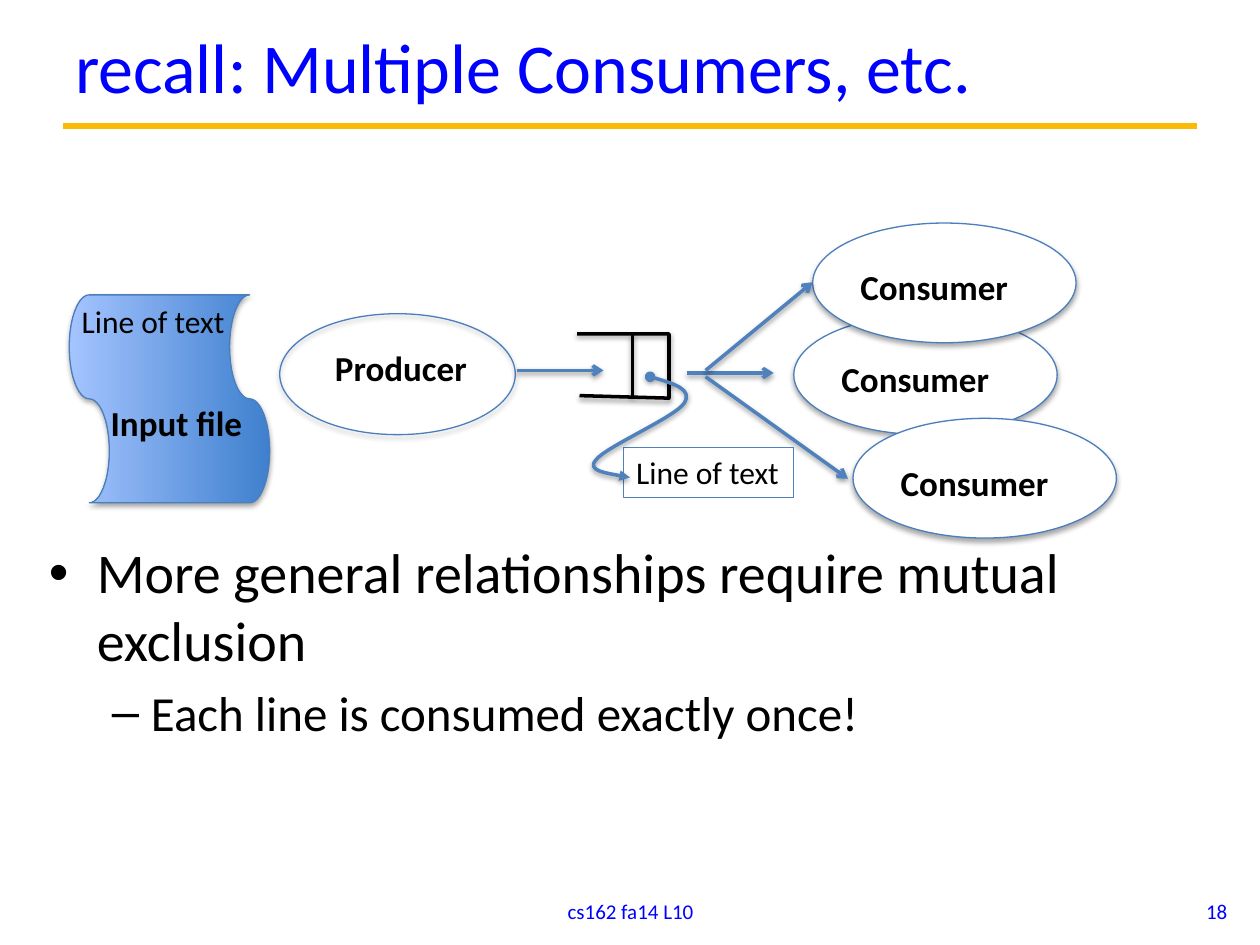
from lxml.etree import SubElement
from pptx import Presentation
from pptx.dml.color import RGBColor
from pptx.enum.shapes import MSO_CONNECTOR, MSO_SHAPE
from pptx.enum.text import MSO_ANCHOR, MSO_AUTO_SIZE, PP_ALIGN
from pptx.oxml.ns import qn
from pptx.util import Inches, Pt

COLORS = {
    "heading": "0000FF", "rule": "FBBA03", "text": "000000", "white": "FFFFFF",
    "outline": "4B7EBC", "arrow": "4F81BD", "tape_dark": "3F80CE", "tape_light": "A4C4FF",
}
COLUMNS, ROWS = 100, 75


class SlideSketch:
    font = "Calibri"

    def __init__(self, deck):
        self.slide = deck.slides.add_slide(deck.slide_layouts[6])
        self.column = deck.slide_width / COLUMNS
        self.row = deck.slide_height / ROWS

    def grid(self, *lengths):
        units = (self.column, self.row)
        return [round(length * units[i % 2]) for i, length in enumerate(lengths)]

    def color(self, name):
        return RGBColor.from_string(COLORS[name])

    def stroke(self, line, color, width, head=None, tail=None):
        line.color.rgb = self.color(color)
        line.width = Pt(width)
        for tag, kind in (("a:headEnd", head), ("a:tailEnd", tail)):
            if kind:
                SubElement(line._get_or_add_ln(), qn(tag), type=kind)

    def shade(self, effects, opacity, distance):
        shadow = SubElement(effects, qn("a:outerShdw"), blurRad=str(Pt(3.1)),
                            dist=str(Pt(distance)), dir="5400000", rotWithShape="0")
        tone = SubElement(shadow, qn("a:srgbClr"), val=COLORS["text"])
        SubElement(tone, qn("a:alpha"), val=str(opacity * 1000))

    def shade_shape(self, shape, opacity=35, distance=1.8):
        shape.shadow.inherit = False
        self.shade(shape._element.spPr.find(qn("a:effectLst")), opacity, distance)

    def format_runs(self, paragraph, size, color, bold=False):
        for run in paragraph.runs:
            run.font.name = self.font
            run.font.size = Pt(size)
            run.font.bold = bold
            run.font.color.rgb = self.color(color)

    def text(self, words, box, size, color="text", align=PP_ALIGN.LEFT):
        holder = self.slide.shapes.add_textbox(*self.grid(*box))
        frame = holder.text_frame
        frame.word_wrap = True
        frame.vertical_anchor = MSO_ANCHOR.MIDDLE
        frame.text = words
        frame.paragraphs[0].alignment = align
        self.format_runs(frame.paragraphs[0], size, color)

    def label(self, words, box, size=20, bold=True, border=None):
        holder = self.slide.shapes.add_textbox(*self.grid(*box))
        frame = holder.text_frame
        frame.text = words
        frame.word_wrap = False
        frame.auto_size = MSO_AUTO_SIZE.SHAPE_TO_FIT_TEXT
        self.format_runs(frame.paragraphs[0], size, "text", bold)
        if border:
            self.stroke(holder.line, border, 0.75)

    def bullets(self, items, box):
        frame = self.slide.shapes.add_textbox(*self.grid(*box)).text_frame
        frame.word_wrap = True
        for i, (words, level, mark, margin, hang, size) in enumerate(items):
            paragraph = frame.add_paragraph() if i else frame.paragraphs[0]
            paragraph.text = words
            paragraph.level = level
            properties = paragraph._p.get_or_add_pPr()
            properties.set("marL", str(Inches(margin)))
            properties.set("indent", str(-Inches(hang)))
            SubElement(properties, qn("a:buFont"), typeface="Arial")
            SubElement(properties, qn("a:buChar"), char=mark)
            if i:
                paragraph.space_before = Pt(size * 0.2)
            self.format_runs(paragraph, size, "text")

    def ellipse(self, box, fill=None):
        oval = self.slide.shapes.add_shape(MSO_SHAPE.OVAL, *self.grid(*box))
        if fill:
            oval.fill.solid()
            oval.fill.fore_color.rgb = self.color(fill)
        else:
            oval.fill.background()
        self.stroke(oval.line, "outline", 0.75)
        self.shade_shape(oval)

    def tape(self, box):
        tape = self.slide.shapes.add_shape(MSO_SHAPE.FLOWCHART_PUNCHED_TAPE, *self.grid(*box))
        tape.rotation = 270
        tape.fill.gradient()
        tape.fill.gradient_angle = 90
        for stop, name in zip(tape.fill.gradient_stops, ("tape_dark", "tape_light")):
            stop.color.rgb = self.color(name)
        self.stroke(tape.line, "outline", 0.75)
        self.shade_shape(tape)

    def line(self, start, end, color="arrow", width=2, tail=None, shadow=True):
        link = self.slide.shapes.add_connector(
            MSO_CONNECTOR.STRAIGHT, *self.grid(*start, *end))
        self.stroke(link.line, color, width, tail=tail)
        effects = SubElement(link._element.spPr, qn("a:effectLst"))
        if shadow:
            self.shade(effects, 38, 1.6)

    def outline(self, points, color, curved=False, head=None, tail=None):
        start, *rest = [self.grid(*point) for point in points]
        builder = self.slide.shapes.build_freeform(*start)
        builder.add_line_segments(rest, close=False)
        shape = builder.convert_to_shape()
        if curved:
            self.bend(shape)
        shape.fill.background()
        self.stroke(shape.line, color, 2, head, tail)
        self.shade_shape(shape, 38, 1.6)

    def bend(self, shape):
        trace = next(shape._element.iter(qn("a:path")))
        segments = trace.findall(qn("a:lnTo"))
        for i in range(0, len(segments), 3):
            curve = SubElement(trace, qn("a:cubicBezTo"))
            for segment in segments[i:i + 3]:
                curve.append(segment[0])
                trace.remove(segment)


def main():
    deck = Presentation()
    deck.slide_width, deck.slide_height = Inches(10), Inches(7.5)
    sketch = SlideSketch(deck)

    sketch.line((5, 10), (95, 10), "rule", 3.75, shadow=False)
    sketch.text("recall: Multiple Consumers, etc.", (5, 0.4, 90, 9.6), 40, "heading")
    sketch.bullets([
        ("More general relationships require mutual exclusion", 0, "•", 0.38, 0.38, 32),
        ("Each line is consumed exactly once!", 1, "–", 0.81, 0.31, 28),
    ], (2.9, 42.2, 90, 15.8))
    sketch.text("cs162 fa14 L10", (34.2, 70.3, 31.7, 4), 12, "heading", PP_ALIGN.CENTER)
    sketch.text("18", (75.1, 70.3, 23.3, 4), 12, "heading", PP_ALIGN.RIGHT)

    sketch.tape((5.2, 23.7, 16.5, 15.9))
    sketch.label("Input file", (7.8, 31.4, 12.5, 4.4))
    sketch.label("Line of text", (5.5, 23.5, 13.5, 4), 18, False)

    sketch.ellipse((22.2, 24.9, 18.7, 9.6))
    sketch.label("Producer", (25.6, 27, 12.6, 4.4))
    sketch.line((41, 29.4), (47.9, 29.4), tail="arrow")

    sketch.label("Line of text", (49.5, 35.5, 13.5, 4), 18, False, "arrow")
    sketch.outline([(45.8, 26.5), (53.1, 26.5), (53.1, 31.6), (46, 31.4)], "text")
    sketch.line((50.2, 26.5), (50.2, 31.5), "text")
    sketch.outline([
        (51.6, 29.9), (53.3, 30.4), (55, 30.9), (54.3, 32), (53.6, 33.1),
        (48, 35.5), (47.3, 36.5), (46.5, 37.4), (50, 37.9), (50, 37.9),
    ], "arrow", curved=True, head="oval", tail="triangle")

    consumers = [
        (63, 25, (54.5, 29.6), (61.4, 29.6)),
        (64.5, 17.7, (56, 29.4), (64.5, 22.4)),
        (67.7, 33.2, (56, 29.9), (67.3, 38)),
    ]
    for left, top, start, end in consumers:
        sketch.ellipse((left, top, 20.9, 9.5), "white")
        sketch.label("Consumer", (left + 2.8, top + 2.9, 13.8, 4.4))
        sketch.line(start, end, tail="arrow")

    deck.save("out.pptx")


if __name__ == "__main__":
    main()
